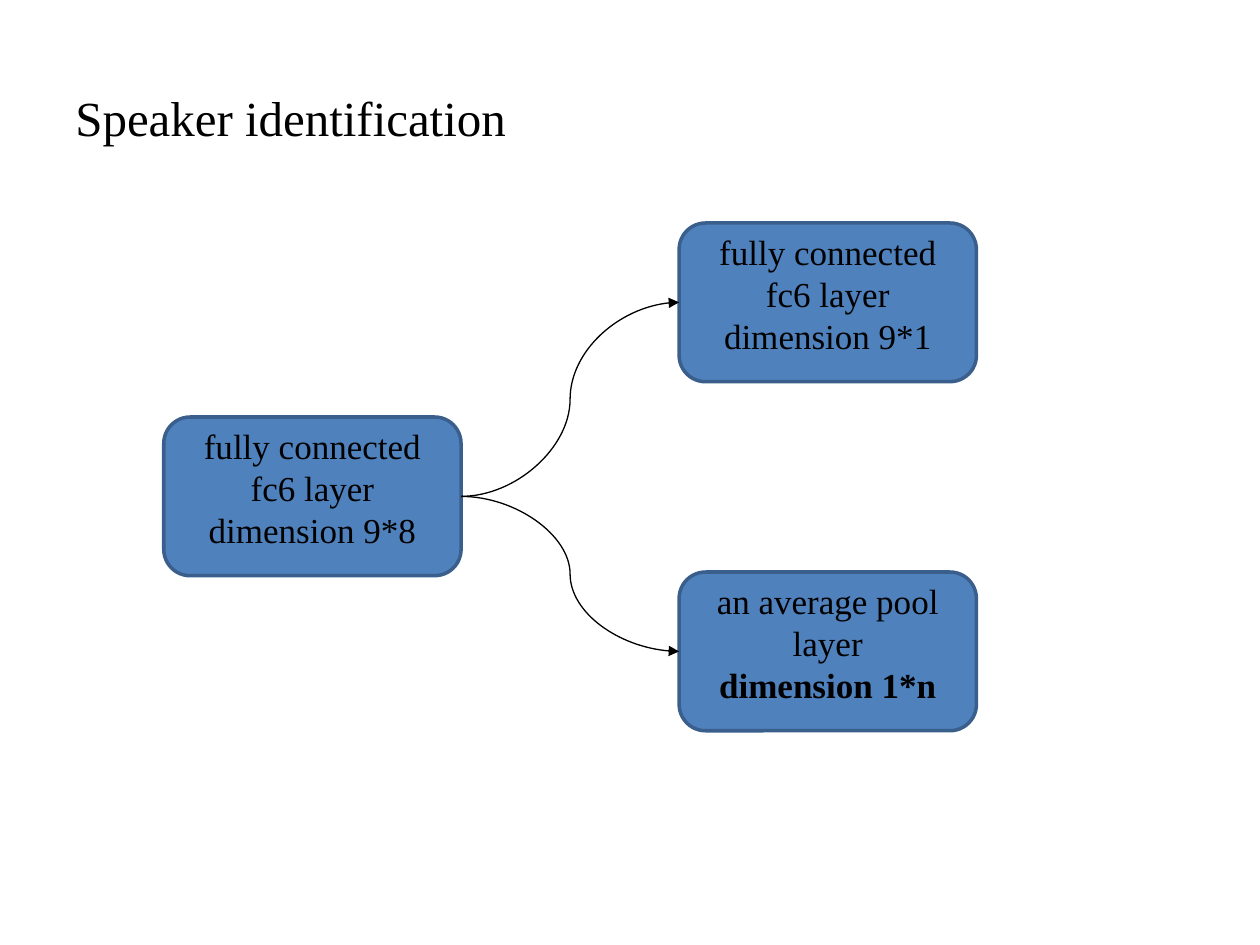
import pptx
import pptx.util
import pptx.dml.color
import pptx.enum.shapes
import pptx.enum.text
import pptx.oxml.ns
from lxml import etree

Inches, Pt = pptx.util.Inches, pptx.util.Pt
RGB = pptx.dml.color.RGBColor.from_string
qn = pptx.oxml.ns.qn

# Content
TITLE = "Speaker identification"
FONT = "Times New Roman"
COLORS = {"text": "000000", "box": "4F81BD", "border": "3A5F8C", "arrow": "000000"}
BOX_W, BOX_H = 2.36, 1.26
LAYERS = {  # name: (left, top, layer, dimension, bold dimension)
    "input": (1.3, 3.31, "fully connected fc6 layer", "dimension 9*8", False),
    "fc6": (5.39, 1.77, "fully connected fc6 layer", "dimension 9*1", False),
    "pool": (5.39, 4.54, "an average pool layer", "dimension 1*n", True),
}
ARROWS = [("input", "fc6"), ("input", "pool")]
LEFT_SITE, RIGHT_SITE = 1, 3

prs = pptx.Presentation()
prs.slide_width, prs.slide_height = Inches(10), Inches(7.5)
slide = prs.slides.add_slide(prs.slide_layouts[6])


def style(p, size, bold=False):
    p.font.name, p.font.size, p.font.bold = FONT, Pt(size), bold
    p.font.color.rgb = RGB(COLORS["text"])


# Title
sp = slide.shapes.add_textbox(Inches(0.5), Inches(0.3), Inches(9), Inches(1.25))
tf = sp.text_frame
tf.word_wrap = True
tf.vertical_anchor = pptx.enum.text.MSO_ANCHOR.MIDDLE
tf.text = TITLE
style(tf.paragraphs[0], 28)

# Layer boxes
boxes = {}
for name, (left, top, layer, dimension, bold) in LAYERS.items():
    sp = slide.shapes.add_shape(
        pptx.enum.shapes.MSO_SHAPE.ROUNDED_RECTANGLE,
        Inches(left), Inches(top), Inches(BOX_W), Inches(BOX_H))
    sp.shadow.inherit = False
    sp.fill.solid()
    sp.fill.fore_color.rgb = RGB(COLORS["box"])
    sp.line.color.rgb = RGB(COLORS["border"])
    sp.line.width = Pt(2)
    tf = sp.text_frame
    tf.word_wrap = True
    tf.vertical_anchor = pptx.enum.text.MSO_ANCHOR.TOP
    tf.margin_top = tf.margin_bottom = 0
    tf.text = f"{layer}\n{dimension}"
    for p, is_bold in zip(tf.paragraphs, (False, bold)):
        p.alignment = pptx.enum.text.PP_ALIGN.CENTER
        p.line_spacing = Pt(24)
        style(p, 20, is_bold)
    boxes[name] = sp

# Curved arrows
for start, end in ARROWS:
    arrow = slide.shapes.add_connector(
        pptx.enum.shapes.MSO_CONNECTOR.CURVE, 0, 0, 0, 0)
    arrow.begin_connect(boxes[start], RIGHT_SITE)
    arrow.end_connect(boxes[end], LEFT_SITE)
    arrow.line.color.rgb = RGB(COLORS["arrow"])
    arrow.line.width = Pt(0.75)
    etree.SubElement(arrow.line._get_or_add_ln(), qn("a:tailEnd"), type="triangle")
    etree.SubElement(arrow._element.spPr, qn("a:effectLst"))

prs.save("out.pptx")
